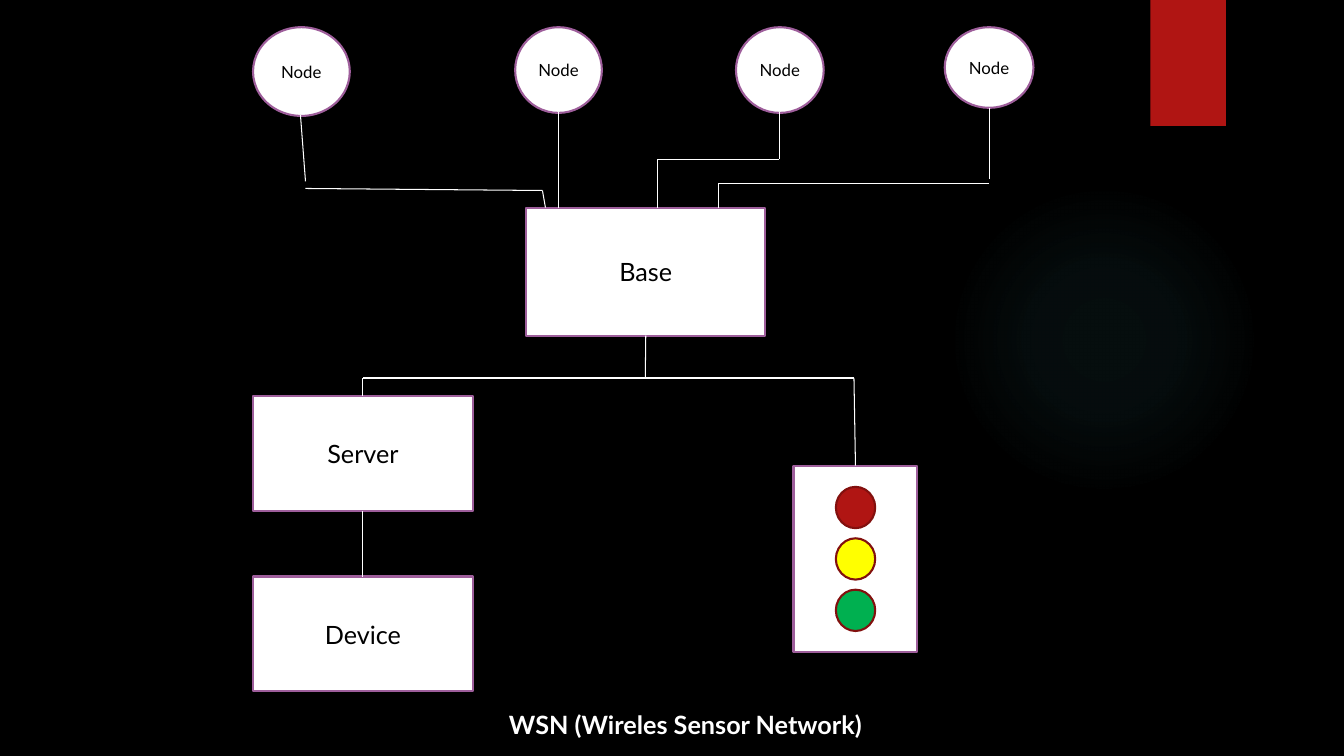
import itertools
from dataclasses import dataclass

import pptx
import pptx.util
import pptx.dml.color
import pptx.enum.shapes
import pptx.enum.text
import pptx.oxml
import pptx.oxml.ns
from lxml import etree

Inches = pptx.util.Inches
Pt = pptx.util.Pt
Kind = pptx.enum.shapes.MSO_SHAPE
TOP, BOTTOM = 0, 2  # connection sites of a rectangle


@dataclass
class Theme:
    font: str = "Lato"
    back: str = "000000"
    ink: str = "000000"
    light: str = "FFFFFF"
    edge: str = "9E5E9B"
    red: str = "B01513"
    rim: str = "82100E"
    yellow: str = "FFFF00"
    green: str = "00B050"
    glow: str = "50B9C1"
    small: int = 12
    large: int = 18
    border: float = 1.5
    wire: float = 0.75


def color(code):
    return pptx.dml.color.RGBColor.from_string(code)


class Board:
    def __init__(self, slide, theme):
        self.slide = slide
        self.theme = theme
        fill = slide.background.fill
        fill.solid()
        fill.fore_color.rgb = color(theme.back)

    def style(self, frame, text, size, ink, bold=False):
        frame.text = text
        font = frame.paragraphs[0].runs[0].font
        font.name = self.theme.font
        font.size = Pt(size)
        font.bold = bold
        font.color.rgb = color(ink)

    def shape(self, kind, box, fill, edge=None):
        item = self.slide.shapes.add_shape(kind, *map(Inches, box))
        item.shadow.inherit = False
        item.fill.solid()
        item.fill.fore_color.rgb = color(fill)
        if edge:
            item.line.color.rgb = color(edge)
            item.line.width = Pt(self.theme.border)
        else:
            item.line.fill.background()
        return item

    def label(self, kind, box, text, size):
        item = self.shape(kind, box, self.theme.light, self.theme.edge)
        frame = item.text_frame
        frame.vertical_anchor = pptx.enum.text.MSO_ANCHOR.MIDDLE
        self.style(frame, text, size, self.theme.ink)
        frame.paragraphs[0].alignment = pptx.enum.text.PP_ALIGN.CENTER
        return item

    def halo(self, box, stops):
        item = self.shape(Kind.OVAL, box, self.theme.glow)
        marks = "".join(
            f'<a:gs pos="{spot * 1000}"><a:srgbClr val="{self.theme.glow}">'
            f'<a:alpha val="{alpha * 1000}"/></a:srgbClr></a:gs>'
            for spot, alpha in stops)
        grad = pptx.oxml.parse_xml(
            f'<a:gradFill {pptx.oxml.ns.nsdecls("a")}><a:gsLst>{marks}</a:gsLst>'
            '<a:path path="circle"><a:fillToRect l="50000" t="50000" '
            'r="50000" b="50000"/></a:path></a:gradFill>')
        solid = item._element.spPr.find(pptx.oxml.ns.qn("a:solidFill"))
        solid.getparent().replace(solid, grad)

    def route(self, points, start=None, end=None):
        """Draw a chain of lines; start and end are (shape, site) joints."""
        lines = []
        for tail, head in itertools.pairwise(points):
            line = self.slide.shapes.add_connector(
                pptx.enum.shapes.MSO_CONNECTOR.STRAIGHT,
                *map(Inches, (*tail, *head)))
            line.line.color.rgb = color(self.theme.light)
            line.line.width = Pt(self.theme.wire)
            etree.SubElement(line._element.spPr, pptx.oxml.ns.qn("a:effectLst"))
            lines.append(line)
        if start:
            lines[0].begin_connect(*start)
        if end:
            lines[-1].end_connect(*end)

    def text(self, box, text):
        frame = self.slide.shapes.add_textbox(*map(Inches, box)).text_frame
        frame.word_wrap = True
        self.style(frame, text, self.theme.large, self.theme.light, True)


def main():
    deck = pptx.Presentation()
    deck.slide_width, deck.slide_height = Inches(13.33), Inches(7.5)
    theme = Theme()
    board = Board(deck.slides.add_slide(deck.slide_layouts[6]), theme)

    # Backdrop
    board.halo((9.41, 1.83, 3.08, 3.08), ((0, 7), (36, 6), (69, 0)))
    board.shape(Kind.RECTANGLE, (11.41, 0, 0.75, 1.25), theme.red)

    # Sensor nodes
    for left, width, height in ((2.51, 0.96, 0.88), (5.11, 0.86, 0.85),
                                (7.3, 0.87, 0.85), (9.37, 0.88, 0.8)):
        board.label(Kind.OVAL, (left, 0.27, width, height), "Node", theme.small)

    # Stations
    base, server, device = (
        board.label(Kind.RECTANGLE, box, name, theme.large)
        for name, box in (("Base", (5.22, 2.06, 2.37, 1.27)),
                          ("Server", (2.51, 3.93, 2.18, 1.14)),
                          ("Device", (2.51, 5.72, 2.18, 1.14))))

    # Traffic light
    signal = board.shape(Kind.RECTANGLE, (7.87, 4.62, 1.23, 1.85),
                         theme.light, theme.edge)
    for row, lamp in enumerate((theme.red, theme.yellow, theme.green)):
        board.shape(Kind.OVAL, (8.29, 4.83 + 0.51 * row, 0.39, 0.41),
                    lamp, theme.rim)

    # Wires from the nodes to the base
    for points in (
            ((2.98, 1.14), (3.03, 1.8)),
            ((3.03, 1.87), (5.38, 1.89), (5.41, 2.06)),
            ((5.54, 1.11), (5.54, 2.06)),
            ((7.73, 1.11), (7.73, 1.58), (6.52, 1.58), (6.52, 2.06)),
            ((9.81, 1.07), (9.81, 1.78)),
            ((9.81, 1.82), (7.13, 1.82), (7.13, 2.06))):
        board.route(points)

    # Wires from the base to the stations below
    fork = (6.4, 3.75)
    board.route(((6.4, 3.33), fork), start=(base, BOTTOM))
    board.route((fork, (8.47, 3.75), (8.49, 4.62)), end=(signal, TOP))
    board.route((fork, (3.6, 3.75), (3.6, 3.93)), end=(server, TOP))
    board.route(((3.6, 5.07), (3.6, 5.72)), (server, BOTTOM), (device, TOP))

    # Caption
    board.text((4.95, 6.99, 4.26, 0.4), "WSN (Wireles Sensor Network)")

    deck.save("out.pptx")


if __name__ == "__main__":
    main()
